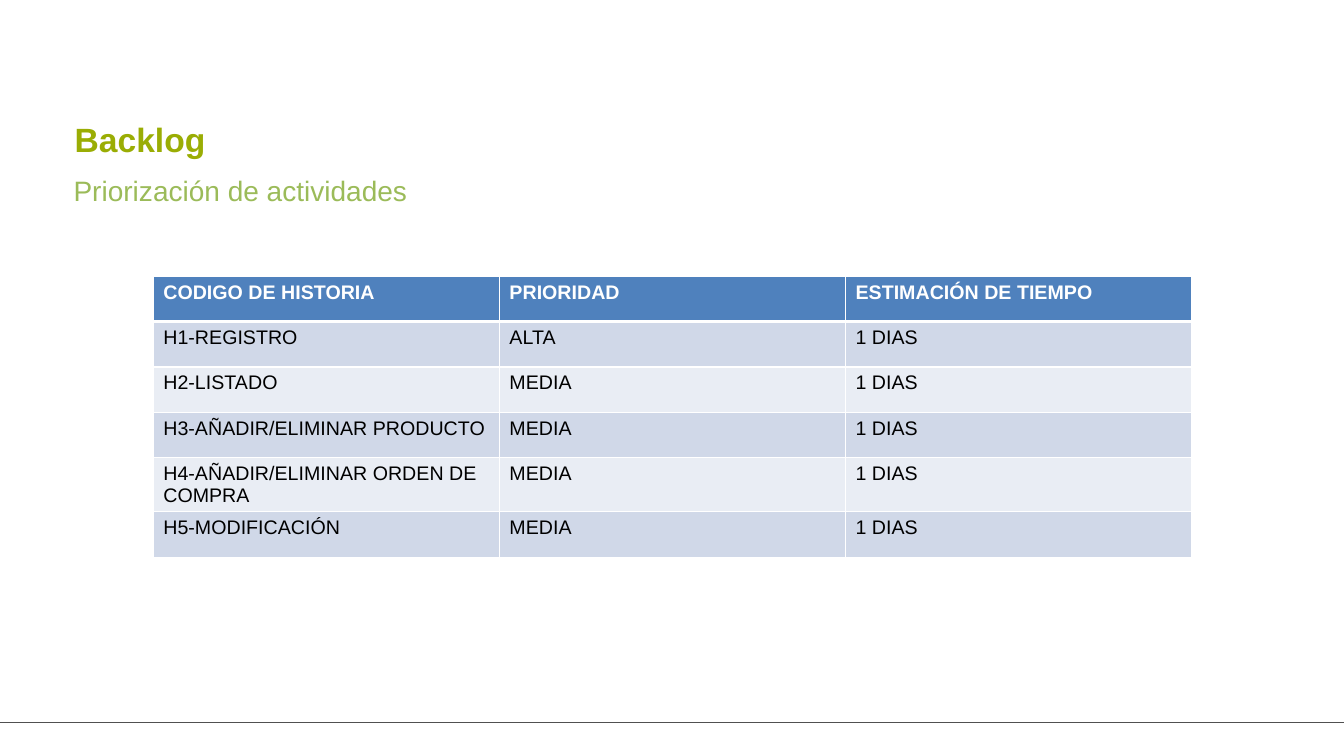
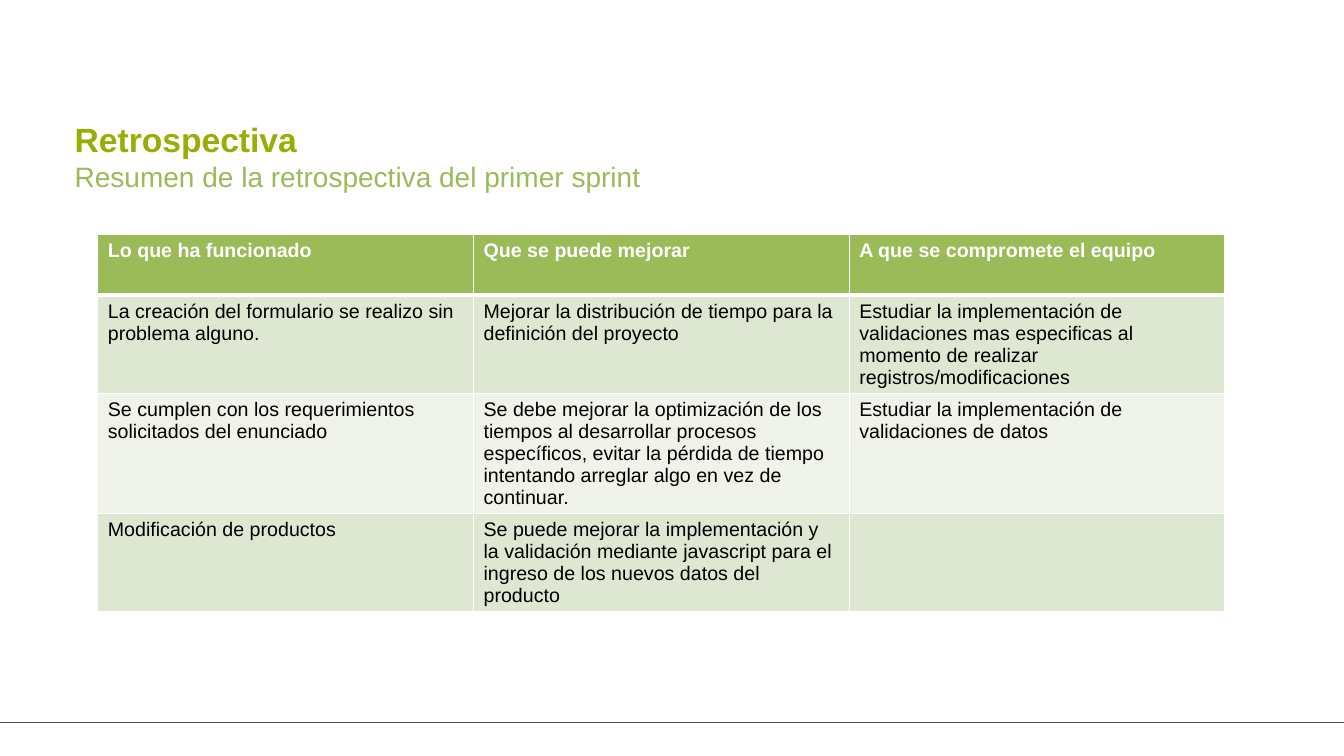
from pptx import Presentation
from pptx.dml.color import RGBColor
from pptx.enum.shapes import MSO_CONNECTOR
from pptx.enum.text import MSO_ANCHOR, MSO_AUTO_SIZE, PP_ALIGN
from pptx.oxml import parse_xml
from pptx.oxml.ns import nsdecls
from pptx.util import Inches, Pt

LINE = MSO_CONNECTOR.STRAIGHT
TOP = MSO_ANCHOR.TOP
FIXED = MSO_AUTO_SIZE.NONE
LEFT = PP_ALIGN.LEFT
FONT = "Arial"
WIDE, HIGH = 13.33, 7.5
HUES = {"title": "9AAD04", "sub": "9BBB59", "rule": "505050",
        "white": "FFFFFF", "black": "000000"}
BLUE = {"head": "4F81BD", "odd": "D0D8E8", "even": "E9EDF4"}
GREEN = {"head": "9BBB59", "odd": "DEE7D1", "even": "EFF3EA"}

BACKLOG = [
    ("CODIGO DE HISTORIA", "PRIORIDAD", "ESTIMACIÓN DE TIEMPO"),
    ("H1-REGISTRO", "ALTA", "1 DIAS"),
    ("H2-LISTADO", "MEDIA", "1 DIAS"),
    ("H3-AÑADIR/ELIMINAR PRODUCTO", "MEDIA", "1 DIAS"),
    ("H4-AÑADIR/ELIMINAR ORDEN DE COMPRA", "MEDIA", "1 DIAS"),
    ("H5-MODIFICACIÓN", "MEDIA", "1 DIAS"),
]
RETRO = [
    ("Lo que ha funcionado", "Que se puede mejorar",
     "A que se compromete el equipo"),
    ("La creación del formulario se realizo sin problema alguno.",
     "Mejorar la distribución de tiempo para la definición del proyecto",
     "Estudiar la implementación de validaciones mas especificas al momento "
     "de realizar registros/modificaciones"),
    ("Se cumplen con los requerimientos solicitados del enunciado",
     "Se debe mejorar la optimización de los tiempos al desarrollar procesos "
     "específicos, evitar la pérdida de tiempo intentando arreglar algo en "
     "vez de continuar.",
     "Estudiar la implementación de validaciones de datos"),
    ("Modificación de productos",
     "Se puede mejorar la implementación y la validación mediante javascript "
     "para el ingreso de los nuevos datos del producto", ""),
]


def style(frame, size, hue, bold=False):
    """Format every run of a text frame."""
    for para in frame.paragraphs:
        para.alignment = LEFT
        for run in para.runs:
            font = run.font
            font.name, font.size, font.bold = FONT, Pt(size), bold
            font.color.rgb = RGBColor.from_string(hue)


def label(shape, box, text, size, hue, bold=False):
    """Place a shape in its box and fill it with unpadded text."""
    shape.left, shape.top, shape.width, shape.height = map(Inches, box)
    frame = shape.text_frame
    frame.text = text
    frame.word_wrap, frame.auto_size = True, FIXED
    frame.vertical_anchor = TOP
    frame.margin_left = frame.margin_right = 0
    frame.margin_top = frame.margin_bottom = 0
    style(frame, size, hue, bold)


def rule(slide, top):
    """Draw the footer line across the slide."""
    line = slide.shapes.add_connector(
        LINE, 0, Inches(top), Inches(WIDE), Inches(top))
    line.line.color.rgb = RGBColor.from_string(HUES["rule"])
    line.line.width = Pt(0.75)
    line._element.spPr.append(parse_xml(f"<a:effectLst {nsdecls('a')}/>"))


def border(cell, row):
    """Edge a cell in white, thicker below the header row."""
    props = cell._tc.get_or_add_tcPr()
    wide = {"T": 3 if row == 1 else 1, "B": 3 if row == 0 else 1}
    for side in "LRTB":
        props.append(parse_xml(
            f'<a:ln{side} {nsdecls("a")} w="{Pt(wide.get(side, 1))}">'
            f'<a:solidFill><a:srgbClr val="{HUES["white"]}"/></a:solidFill>'
            f'</a:ln{side}>'))


def grid(slide, box, rows, tones):
    """Build a banded table with equal columns and rows."""
    left, top, width, height = map(Inches, box)
    table = slide.shapes.add_table(
        len(rows), len(rows[0]), left, top, width, height).table
    for i, row in enumerate(rows):
        band = "head" if i == 0 else "odd" if i % 2 else "even"
        hue = HUES["white" if i == 0 else "black"]
        for j, text in enumerate(row):
            cell = table.cell(i, j)
            border(cell, i)
            cell.fill.solid()
            cell.fill.fore_color.rgb = RGBColor.from_string(tones[band])
            cell.text_frame.text = text
            style(cell.text_frame, 14, hue, i == 0)


def page(deck, title, sub, spot, box, rows, tones):
    """Add a slide with title, subtitle, table and footer line."""
    slide = deck.slides.add_slide(deck.slide_layouts[5])
    rule(slide, 7.17)
    label(slide.shapes.title, (0.74, 1.18, 11.33, 0.4), title, 24,
          HUES["title"], True)
    area = (*spot, 11.86, 0.34)
    label(slide.shapes.add_textbox(*map(Inches, area)), area, sub, 20,
          HUES["sub"])
    grid(slide, box, rows, tones)


def main():
    """Build and save the deck."""
    deck = Presentation()
    deck.slide_width, deck.slide_height = Inches(WIDE), Inches(HIGH)
    page(deck, "Backlog", "Priorización de actividades", (0.73, 1.72),
         (1.52, 2.74, 10.3, 2.7), BACKLOG, BLUE)
    page(deck, "Retrospectiva",
         "Resumen de la retrospectiva del primer sprint", (0.74, 1.58),
         (0.97, 2.33, 11.18, 2.4), RETRO, GREEN)
    deck.save("out.pptx")


main()
